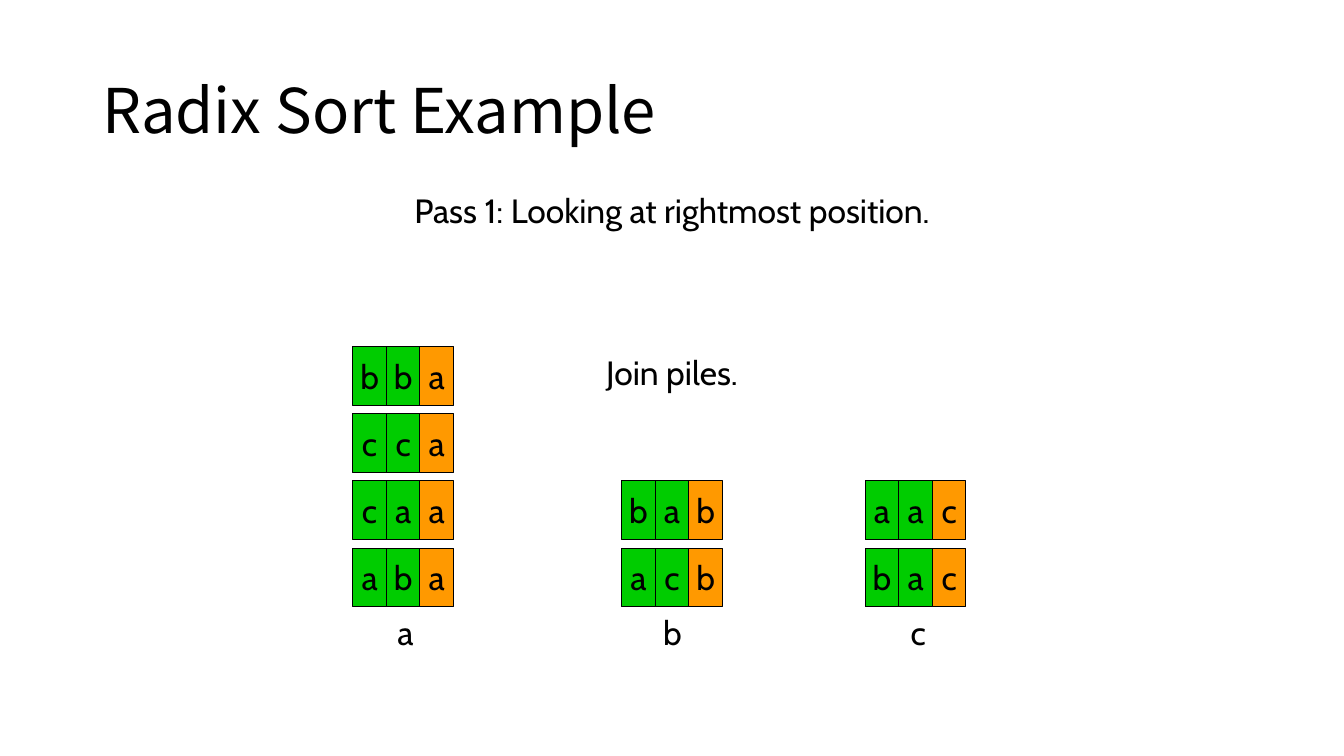
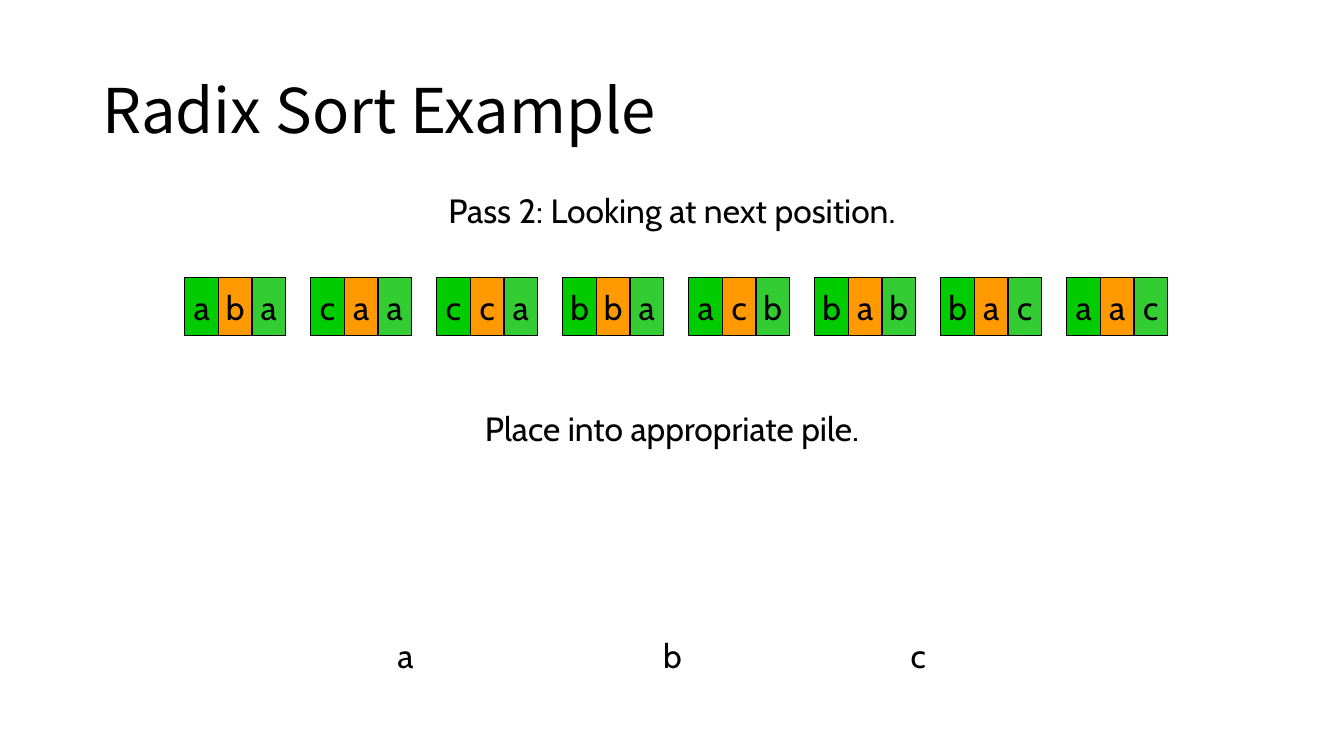
from dataclasses import dataclass

from pptx import Presentation
from pptx import util as u
from pptx.dml.color import RGBColor
from pptx.enum import shapes, text

UNIT = u.Inches(1) // 12
COLS, ROWS = 160, 90
TILE_W, TILE_H = 4, 7
PILE_STEP = 8
PILE_BASE = 65.25
CAPTION_H = 6


@dataclass(frozen=True)
class Theme:
    ink: RGBColor = RGBColor.from_string("000000")
    plain: RGBColor = RGBColor.from_string("00CC00")
    active: RGBColor = RGBColor.from_string("FF9900")
    done: RGBColor = RGBColor.from_string("33CC33")
    title_font: str = "Noto Sans CJK KR"
    body_font: str = "Cabin"
    title_size: int = 44
    body_size: int = 24
    outline: float = 0.75


THEME = Theme()
PASS_1_FILLS = (THEME.plain, THEME.plain, THEME.active)
PASS_2_FILLS = (THEME.plain, THEME.active, THEME.done)


def grid(*cells):
    return [round(c * UNIT) for c in cells]


def set_text(shape, words, size=THEME.body_size, font=THEME.body_font,
             align=text.PP_ALIGN.CENTER, wrap=False):
    tf = shape.text_frame
    tf.text = words
    tf.word_wrap = wrap
    p = tf.paragraphs[0]
    p.alignment = align
    p.font.size = u.Pt(size)
    p.font.name = font
    p.font.color.rgb = THEME.ink
    return tf


def add_title(s, words):
    box = s.shapes.add_textbox(*grid(11, 4.8, 138, 17.4))
    tf = set_text(box, words, THEME.title_size, THEME.title_font,
                  text.PP_ALIGN.LEFT, wrap=True)
    tf.vertical_anchor = text.MSO_ANCHOR.MIDDLE
    tf.paragraphs[0].line_spacing = 0.9


def add_caption(s, words, row, width, centre=COLS / 2):
    box = s.shapes.add_textbox(*grid(centre - width / 2, row, width, CAPTION_H))
    tf = set_text(box, words)
    tf.auto_size = text.MSO_AUTO_SIZE.SHAPE_TO_FIT_TEXT


def add_word(s, letters, col, row, fills):
    group = s.shapes.add_group_shape()
    for i, (letter, fill) in enumerate(zip(letters, fills)):
        tile = group.shapes.add_shape(
            shapes.MSO_SHAPE.RECTANGLE,
            *grid(col + i * TILE_W, row, TILE_W, TILE_H))
        tile.shadow.inherit = False
        tile.fill.solid()
        tile.fill.fore_color.rgb = fill
        tile.line.color.rgb = THEME.ink
        tile.line.width = u.Pt(THEME.outline)
        tf = set_text(tile, letter)
        tf.vertical_anchor = text.MSO_ANCHOR.MIDDLE


def add_pile(s, words, col):
    for level, word in enumerate(words):
        add_word(s, word, col, PILE_BASE - level * PILE_STEP, PASS_1_FILLS)


def add_pile_labels(s, row):
    for letter, centre in (("a", 48.25), ("b", 80), ("c", 109.3)):
        add_caption(s, letter, row, 4.5, centre)


def add_pass_slide(prs, heading, width):
    s = prs.slides.add_slide(prs.slide_layouts[6])
    add_title(s, "Radix Sort Example")
    add_caption(s, heading, 22, width)
    return s


def build_join(prs):
    s = add_pass_slide(prs, "Pass 1: Looking at rightmost position.", 69)
    add_pile(s, ("aba", "caa", "cca", "bba"), 42)
    add_pile(s, ("acb", "bab"), 74)
    add_pile(s, ("bac", "aac"), 103)
    add_pile_labels(s, 72.25)
    add_caption(s, "Join piles.", 41.25, 20)


def build_place(prs):
    s = add_pass_slide(prs, "Pass 2: Looking at next position.", 60)
    words = ("aba", "caa", "cca", "bba", "acb", "bab", "bac", "aac")
    for i, word in enumerate(words):
        add_word(s, word, 22 + i * 15, 33, PASS_2_FILLS)
    add_pile_labels(s, 75)
    add_caption(s, "Place into appropriate pile.", 48, 50)


def main():
    prs = Presentation()
    prs.slide_width, prs.slide_height = grid(COLS, ROWS)
    build_join(prs)
    build_place(prs)
    prs.save("out.pptx")


if __name__ == "__main__":
    main()
